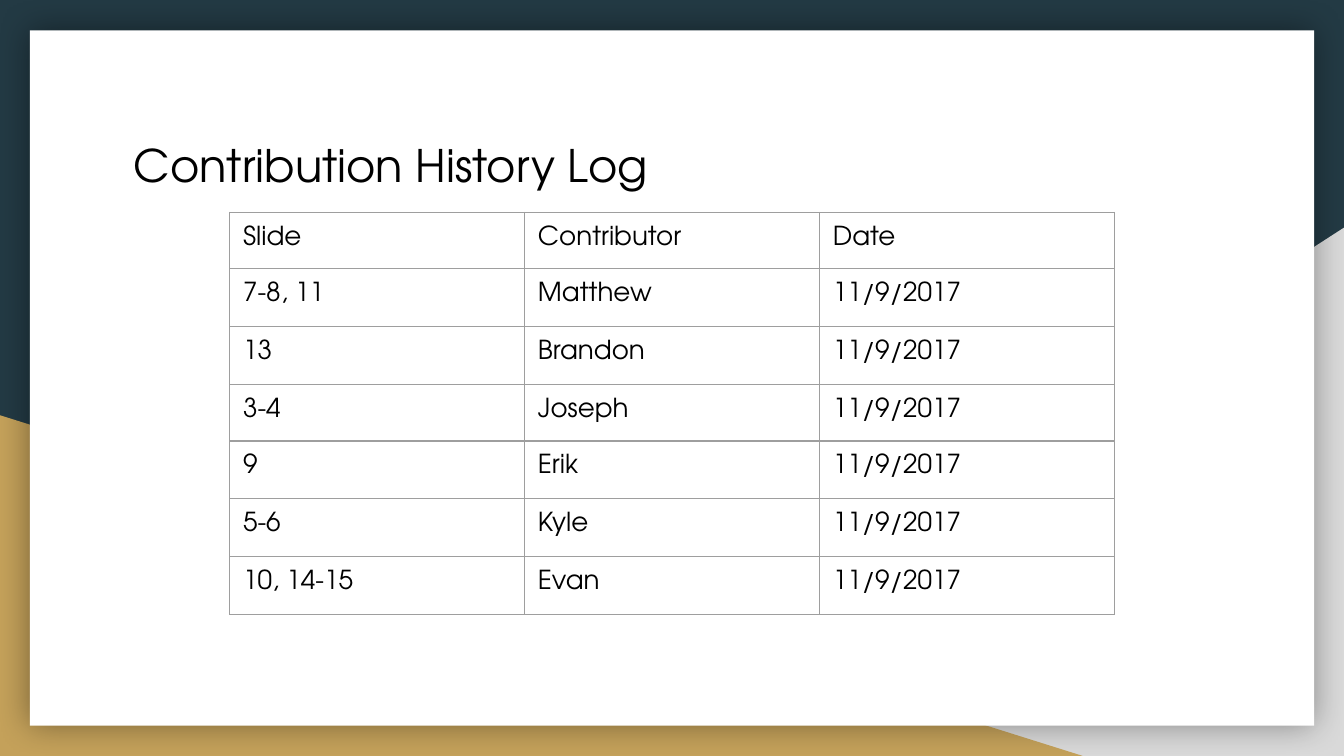
from dataclasses import dataclass

from lxml.etree import SubElement
from pptx import Presentation
from pptx.dml.color import RGBColor
from pptx.enum.shapes import MSO_SHAPE
from pptx.enum.text import MSO_ANCHOR, MSO_AUTO_SIZE, PP_ALIGN
from pptx.oxml.ns import qn
from pptx.util import Pt


@dataclass(frozen=True)
class Theme:
    font: str = "TeX Gyre Adventor"
    title_size: float = 24
    body_size: float = 14
    inset: float = 7.2
    border_width: float = 0.75
    navy: str = "233A44"
    gray: str = "D9D9D9"
    gold: str = "C4A15A"
    white: str = "FFFFFF"
    black: str = "000000"
    border: str = "9E9E9E"


def write(tf, text, *, font, size, color, align=PP_ALIGN.LEFT):
    p = tf.paragraphs[0]
    p.alignment = align
    r = p.add_run()
    r.text = text
    r.font.name = font
    r.font.size = Pt(size)
    r.font.color.rgb = RGBColor.from_string(color)


class SlideBuilder:
    def __init__(self, s, theme):
        self.s = s
        self.theme = theme

    def background(self, color):
        fill = self.s.background.fill
        fill.solid()
        fill.fore_color.rgb = RGBColor.from_string(color)

    def shape(self, kind, x, y, w, h, color, flip=False):
        sp = self.s.shapes.add_shape(kind, Pt(x), Pt(y), Pt(w), Pt(h))
        sp.shadow.inherit = False
        sp.fill.solid()
        sp.fill.fore_color.rgb = RGBColor.from_string(color)
        sp.line.fill.background()
        if flip:
            sp.element.spPr.find(qn("a:xfrm")).set("flipH", "1")
        return sp

    def glow_shadow(self, sp, blur, opacity):
        effects = sp.element.spPr.find(qn("a:effectLst"))
        shadow = SubElement(effects, qn("a:outerShdw"), blurRad=str(Pt(blur)),
                            dist="0", dir="0", algn="ctr", rotWithShape="0")
        color = SubElement(shadow, qn("a:srgbClr"), val=self.theme.black)
        SubElement(color, qn("a:alpha"), val=str(opacity * 1000))

    def title(self, text, x, y, w, h):
        t = self.theme
        sp = self.s.shapes.title
        sp.left, sp.top, sp.width, sp.height = Pt(x), Pt(y), Pt(w), Pt(h)
        sp.element.getparent().append(sp.element)
        tf = sp.text_frame
        tf.word_wrap = True
        tf.auto_size = MSO_AUTO_SIZE.NONE
        tf.vertical_anchor = MSO_ANCHOR.TOP
        tf.margin_left = tf.margin_right = Pt(t.inset)
        tf.margin_top = tf.margin_bottom = Pt(t.inset)
        write(tf, text, font=t.font, size=t.title_size, color=t.black)

    def cell(self, cell, text):
        t = self.theme
        cell.margin_left = cell.margin_right = Pt(t.inset)
        cell.margin_top = cell.margin_bottom = Pt(t.inset)
        write(cell.text_frame, text, font=t.font, size=t.body_size, color=t.black)
        tc_pr = cell._tc.get_or_add_tcPr()
        for side in ("lnL", "lnR", "lnT", "lnB"):
            ln = SubElement(tc_pr, qn(f"a:{side}"), w=str(Pt(t.border_width)))
            SubElement(SubElement(ln, qn("a:solidFill")), qn("a:srgbClr"), val=t.border)
        cell.fill.background()

    def table(self, rows, x, y, col_width, row_heights):
        cols = len(rows[0])
        frame = self.s.shapes.add_table(len(rows), cols, Pt(x), Pt(y),
                                        Pt(col_width * cols), Pt(sum(row_heights)))
        table = frame.table
        table.first_row = table.horz_banding = False
        for column in table.columns:
            column.width = Pt(col_width)
        for i, (values, height) in enumerate(zip(rows, row_heights)):
            table.rows[i].height = Pt(height)
            for j, text in enumerate(values):
                self.cell(table.cell(i, j), text)


def main():
    prs = Presentation()
    prs.slide_width, prs.slide_height = Pt(720), Pt(405)
    theme = Theme()
    b = SlideBuilder(prs.slides.add_slide(prs.slide_layouts[5]), theme)

    b.background(theme.navy)
    b.shape(MSO_SHAPE.RIGHT_TRIANGLE, 282, 122, 438, 283, theme.gray, flip=True)
    b.shape(MSO_SHAPE.RIGHT_TRIANGLE, 0, 222.5, 580, 182.5, theme.gold)
    card = b.shape(MSO_SHAPE.RECTANGLE, 16, 16.25, 688, 372.5, theme.white)
    b.glow_shadow(card, blur=18, opacity=40)

    b.title("Contribution History Log", 64.5, 66.5, 591, 75)
    contributions = [
        ("7-8, 11", "Matthew"),
        ("13", "Brandon"),
        ("3-4", "Joseph"),
        ("9", "Erik"),
        ("5-6", "Kyle"),
        ("10, 14-15", "Evan"),
    ]
    rows = [("Slide", "Contributor", "Date")]
    rows += [(slides, name, "11/9/2017") for slides, name in contributions]
    heights = [30.25 if i % 3 == 0 and i < 6 else 31 for i in range(len(rows))]
    b.table(rows, 123, 113.75, 158, heights)

    prs.save("out.pptx")


if __name__ == "__main__":
    main()
